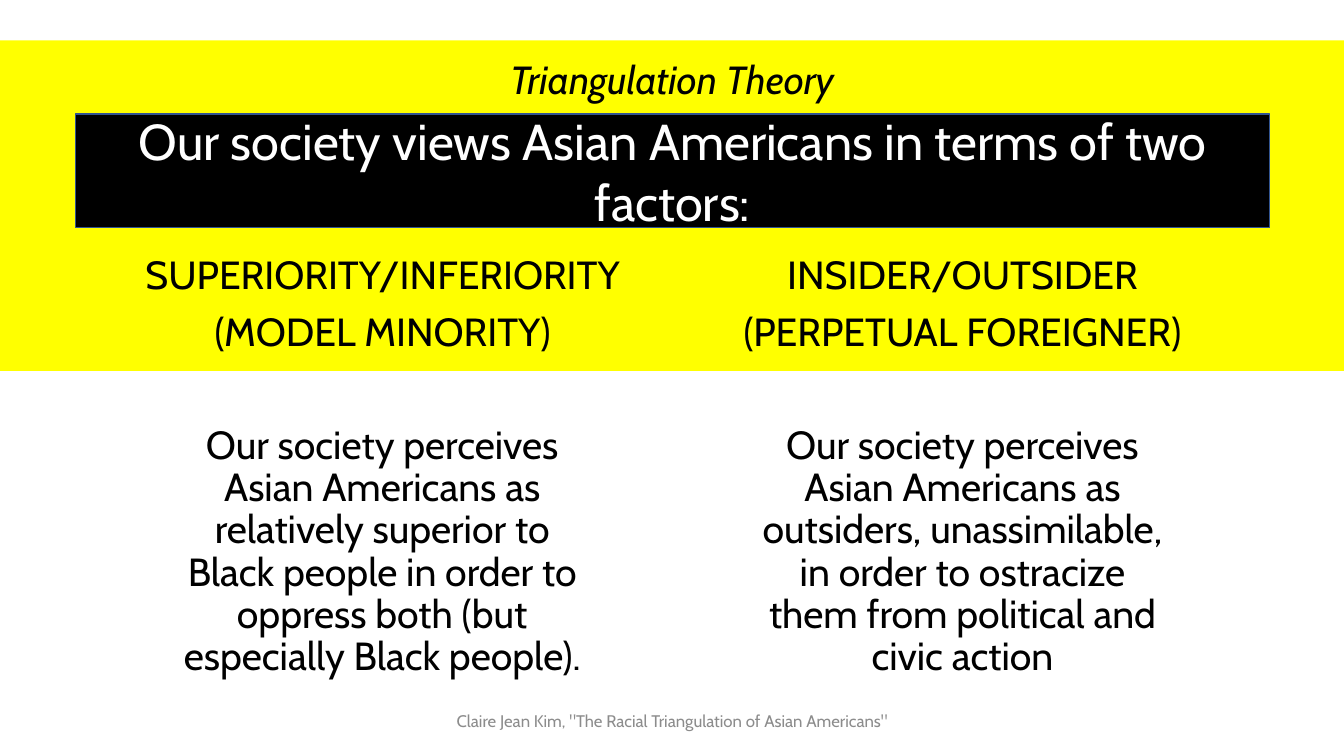
from pptx import Presentation
from pptx.dml.color import RGBColor
from pptx.enum.shapes import MSO_SHAPE
from pptx.enum.text import MSO_ANCHOR, MSO_AUTO_SIZE, PP_ALIGN
from pptx.oxml.xmlchemy import OxmlElement
from pptx.util import Inches, Pt

COLORS = {"yellow": "FFFF00", "black": "000000", "white": "FFFFFF",
          "outline": "325491", "gray": "8C8C8C"}


def color(name):
    return RGBColor.from_string(COLORS[name])


def write(sp, lines, size=28, ink="black", italic=False, spacing=0.9, before=10,
          anchor=MSO_ANCHOR.TOP):
    tf = sp.text_frame
    tf.word_wrap = True
    tf.auto_size = MSO_AUTO_SIZE.NONE
    tf.vertical_anchor = anchor
    tf.margin_left = tf.margin_right = Inches(0.1)
    tf.margin_top = tf.margin_bottom = Inches(0.05)
    for i, line in enumerate(lines):
        p = tf.paragraphs[0] if i == 0 else tf.add_paragraph()
        p.alignment = PP_ALIGN.CENTER
        p.line_spacing = spacing
        p.space_before = Pt(before)
        pPr = p._p.get_or_add_pPr()
        pPr.set("marL", "0")
        pPr.set("indent", "0")
        pPr.append(OxmlElement("a:buNone"))
        r = p.add_run()
        r.text = line
        r.font.name = "Cabin"
        r.font.size = Pt(size)
        r.font.bold = False
        r.font.italic = italic
        r.font.color.rgb = color(ink)


prs = Presentation()
prs.slide_width = Inches(13.33)
prs.slide_height = Inches(7.5)
s = prs.slides.add_slide(prs.slide_layouts.get_by_name("Comparison"))

title = s.shapes.title
title.left, title.top = Inches(0), Inches(0.4)
title.width, title.height = Inches(13.33), Inches(3.28)
title.fill.solid()
title.fill.fore_color.rgb = color("yellow")
write(title, ["Triangulation Theory"], italic=True, before=0)
title.text_frame.margin_top = Inches(0.2)

factors = [
    (1, (0.92, 2.49, 5.75, 1.45), ["SUPERIORITY/INFERIORITY", "(MODEL MINORITY)"]),
    (3, (6.67, 2.49, 5.75, 1.45), ["INSIDER/OUTSIDER", "(PERPETUAL FOREIGNER)"]),
    (2, (1.65, 4.17, 4.28, 2.36),
     ["Our society perceives Asian Americans as relatively superior to Black people "
      "in order to oppress both (but especially Black people)."]),
    (4, (7.39, 4.17, 4.31, 2.36),
     ["Our society perceives Asian Americans as outsiders, unassimilable, in order to "
      "ostracize them from political and civic action"]),
]
for idx, box, lines in factors:
    sp = s.placeholders[idx]
    sp.left, sp.top, sp.width, sp.height = map(Inches, box)
    write(sp, lines)

banner = s.shapes.add_shape(MSO_SHAPE.RECTANGLE, Inches(0.75), Inches(1.13),
                            Inches(11.84), Inches(1.13))
banner.shadow.inherit = False
banner.fill.solid()
banner.fill.fore_color.rgb = color("black")
banner.line.color.rgb = color("outline")
banner.line.width = Pt(1)
write(banner, ["Our society views Asian Americans in terms of two factors:"],
      size=36, ink="white", spacing=1.0, before=0, anchor=MSO_ANCHOR.MIDDLE)

source = s.shapes.add_textbox(Inches(4.42), Inches(6.95), Inches(4.5), Inches(0.4))
write(source, ['Claire Jean Kim, "The Racial Triangulation of Asian Americans"'],
      size=12, ink="gray", spacing=1.0, before=0, anchor=MSO_ANCHOR.MIDDLE)

prs.save("out.pptx")
